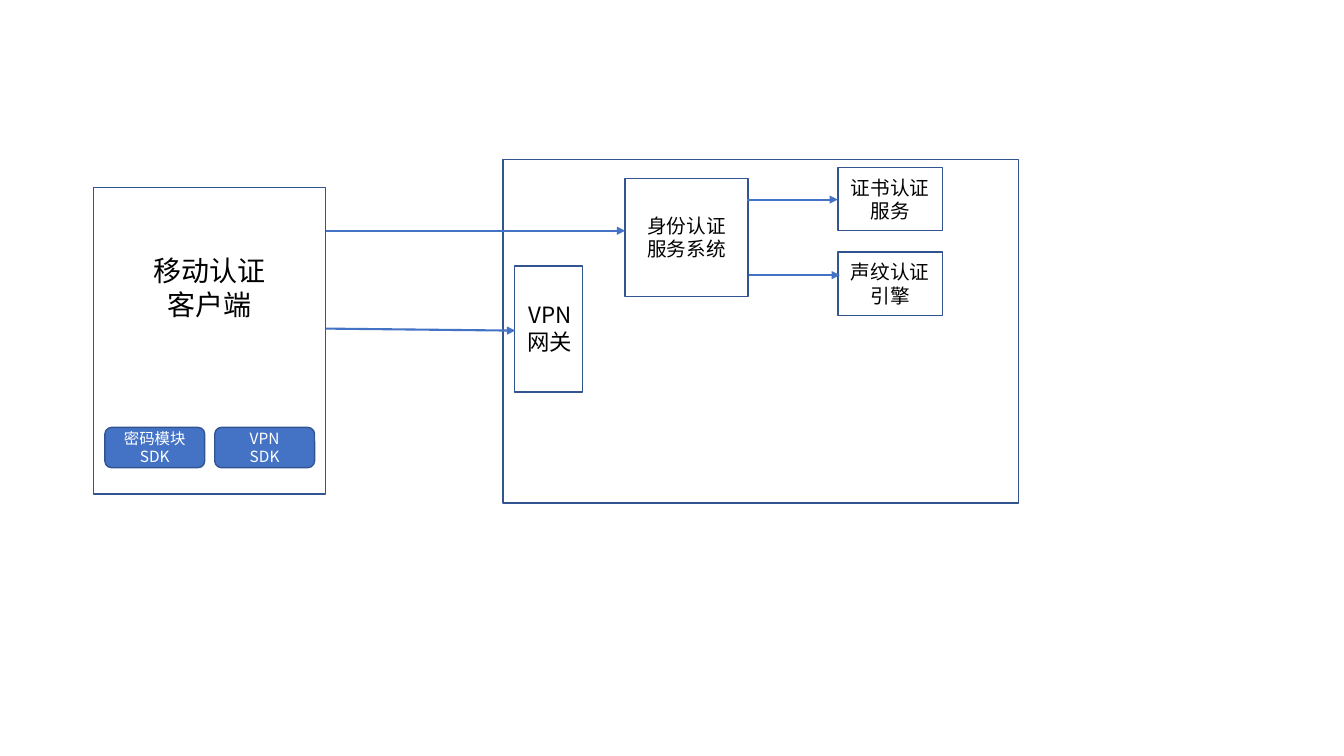
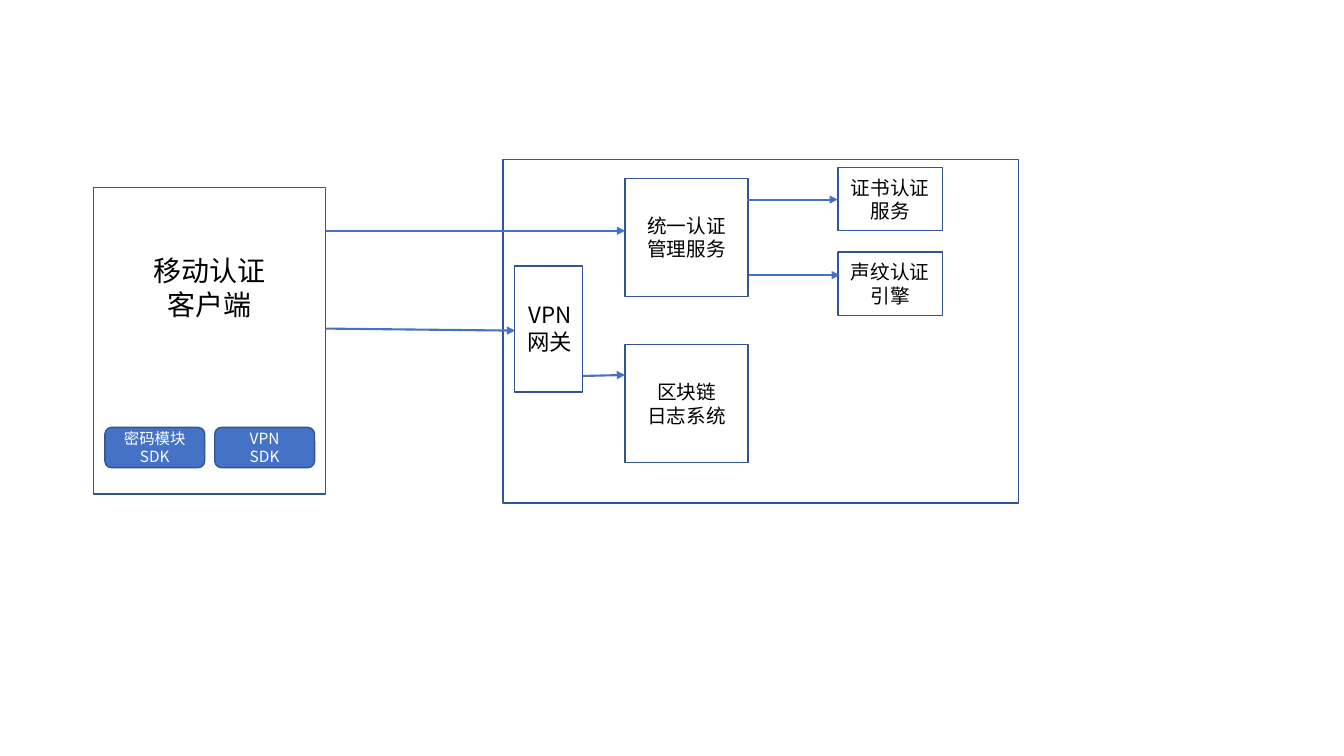
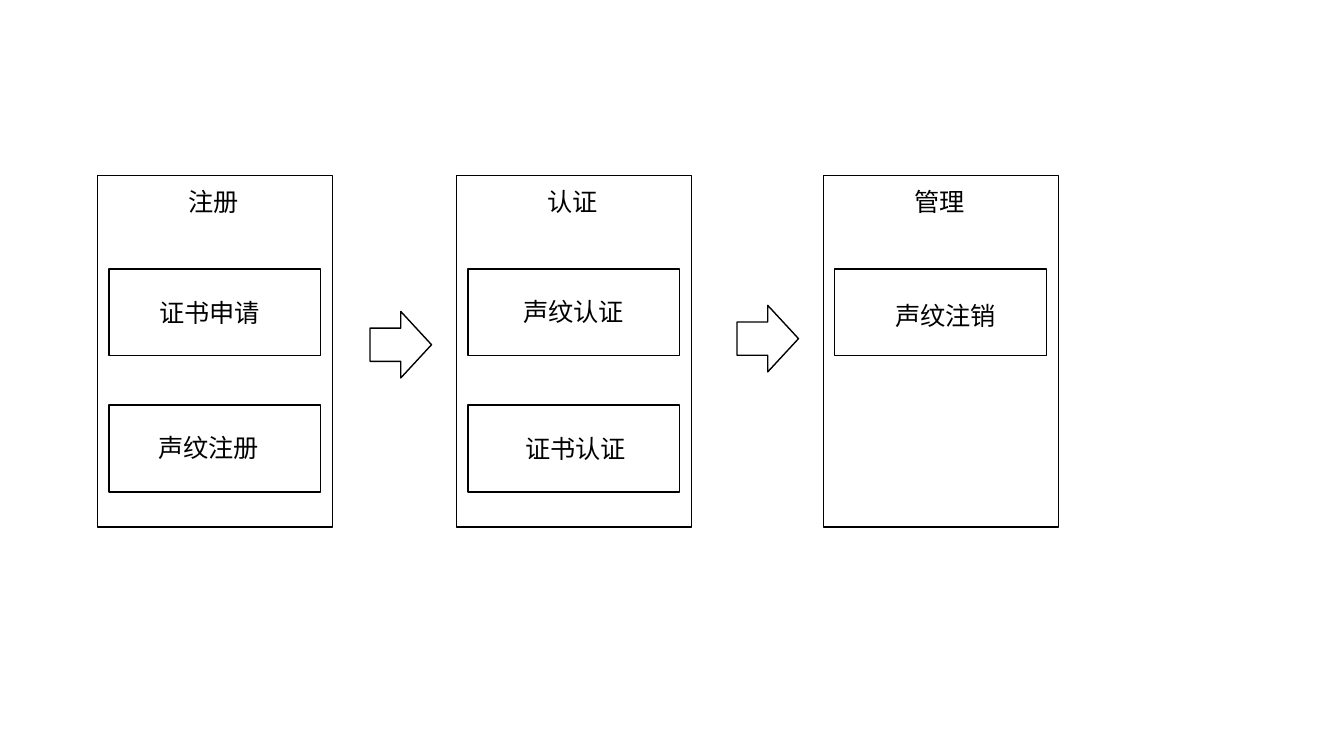
from pptx import Presentation
from pptx.dml.color import RGBColor
from pptx.enum.shapes import MSO_CONNECTOR, MSO_SHAPE
from pptx.enum.text import MSO_ANCHOR, PP_ALIGN
from pptx.oxml.ns import qn
from pptx.util import Inches, Pt
from lxml.etree import SubElement

HUES = {"edge": "325491", "blue": "4472C4", "ink": "000000", "white": "FFFFFF"}
CJK = "Noto Sans CJK SC"


def hue(name):
    return RGBColor.from_string(HUES[name])


def write(frame, lines, size, color="ink", font=CJK, align=PP_ALIGN.CENTER):
    for i, line in enumerate(lines):
        para = frame.paragraphs[0] if i == 0 else frame.add_paragraph()
        para.alignment = align
        para.line_spacing = Pt(round(size * 1.2, 1))
        run = para.add_run()
        run.text = line
        run.font.size = Pt(size)
        run.font.name = font
        run.font.color.rgb = hue(color)
        SubElement(run.font._element, qn("a:ea"), typeface=CJK)


def block(slide, box, lines=(), size=14, edge="edge", fill=None,
          color="ink", kind=MSO_SHAPE.RECTANGLE):
    shape = slide.shapes.add_shape(kind, *map(Inches, box))
    shape.shadow.inherit = False
    if fill:
        shape.fill.solid()
        shape.fill.fore_color.rgb = hue(fill)
    else:
        shape.fill.background()
    shape.line.color.rgb = hue(edge)
    shape.line.width = Pt(1)
    shape.text_frame.vertical_anchor = MSO_ANCHOR.MIDDLE
    write(shape.text_frame, lines, size, color)


def label(slide, box, lines, size, wrap=False, **style):
    frame = slide.shapes.add_textbox(*map(Inches, box)).text_frame
    frame.word_wrap = wrap
    write(frame, lines, size, **style)


def arrow(slide, x1, y1, x2, y2):
    line = slide.shapes.add_connector(
        MSO_CONNECTOR.STRAIGHT, *map(Inches, (x1, y1, x2, y2)))
    line.line.color.rgb = hue("blue")
    line.line.width = Pt(1.5)
    SubElement(line.line._get_or_add_ln(), qn("a:tailEnd"), type="triangle")
    SubElement(line._element.spPr, qn("a:effectLst"))


# Mobile client with its two modules
def client(slide, box):
    x, y, w, h = box
    block(slide, box)
    label(slide, (x + 0.49, y + 0.61, 1.32, 0.77), ["移动认证", "客户端"], 20)
    for i, lines in enumerate((["密码模块SDK"], ["VPN", "SDK"])):
        block(slide, (x + 0.11 + 1.09 * i, y + h - 0.66, 0.99, 0.4), lines, 11,
              fill="blue", color="white", kind=MSO_SHAPE.ROUNDED_RECTANGLE)


# Server side: gateway, main service, engines and optional log
def server(slide, box, main, log):
    x, y, w, h = box
    block(slide, box)
    block(slide, (x + 0.11, y + 1.06, 0.68, 1.25))
    label(slide, (x, y + 1.36, 0.93, 0.64), ["VPN", "网关"], 16, wrap=True)
    block(slide, (x + 1.21, y + 0.19, 1.22, 1.17), main)
    for i, name in enumerate(("证书认证服务", "声纹认证引擎")):
        block(slide, (x + 3.32, y + 0.08 + 0.84 * i, 1.04, 0.63), [name])
    arrow(slide, x + 2.42, y + 0.4, x + 3.32, y + 0.4)
    arrow(slide, x + 2.44, y + 1.15, x + 3.34, y + 1.15)
    if log:
        block(slide, (x + 1.21, y + 1.84, 1.22, 1.17), log)
        arrow(slide, x + 0.79, y + 2.15, x + 1.21, y + 2.14)


def system(slide, main, log=None):
    left, right = (0.93, 1.86, 2.3, 3.04), (4.99, 1.58, 5.11, 3.41)
    client(slide, left)
    server(slide, right, main, log)
    # Links from client to server
    edge = left[0] + left[2]
    arrow(slide, edge, 2.29, right[0] + 1.21, 2.29)
    arrow(slide, edge, 3.26, right[0] + 0.12, 3.28)


# One stage of the process: heading and stacked steps
def stage(slide, box, head, steps):
    x, y, w, h = box
    style = {"font": "Calibri", "align": PP_ALIGN.LEFT}
    block(slide, box, edge="ink")
    label(slide, (x + 0.8, y + 0.06, 0.71, 0.4), [head], 18, **style)
    for i, (name, dx, dy) in enumerate(steps):
        top = y + 0.93 + 1.35 * i
        block(slide, (x + 0.11, top, 2.1, 0.86), edge="ink")
        label(slide, (x + dx, top + dy, 1.21, 0.4), [name], 18, **style)


def process(slide):
    stages = (
        (0.97, "注册", (("证书申请", 0.51, 0.23), ("声纹注册", 0.5, 0.22))),
        (4.53, "认证", (("声纹认证", 0.56, 0.22), ("证书认证", 0.58, 0.23))),
        (8.17, "管理", (("声纹注销", 0.61, 0.26),)),
    )
    for x, head, steps in stages:
        stage(slide, (x, 1.74, 2.33, 3.49), head, steps)
    # Block arrows between stages
    for x, y in ((3.67, 3.09), (7.31, 3.03)):
        block(slide, (x, y, 0.61, 0.66), edge="ink", kind=MSO_SHAPE.RIGHT_ARROW)


deck = Presentation()
deck.slide_width, deck.slide_height = Inches(13.33), Inches(7.5)


def page():
    return deck.slides.add_slide(deck.slide_layouts[6])


system(page(), ["身份认证", "服务系统"])
system(page(), ["统一认证", "管理服务"], ["区块链", "日志系统"])
process(page())
deck.save("out.pptx")
